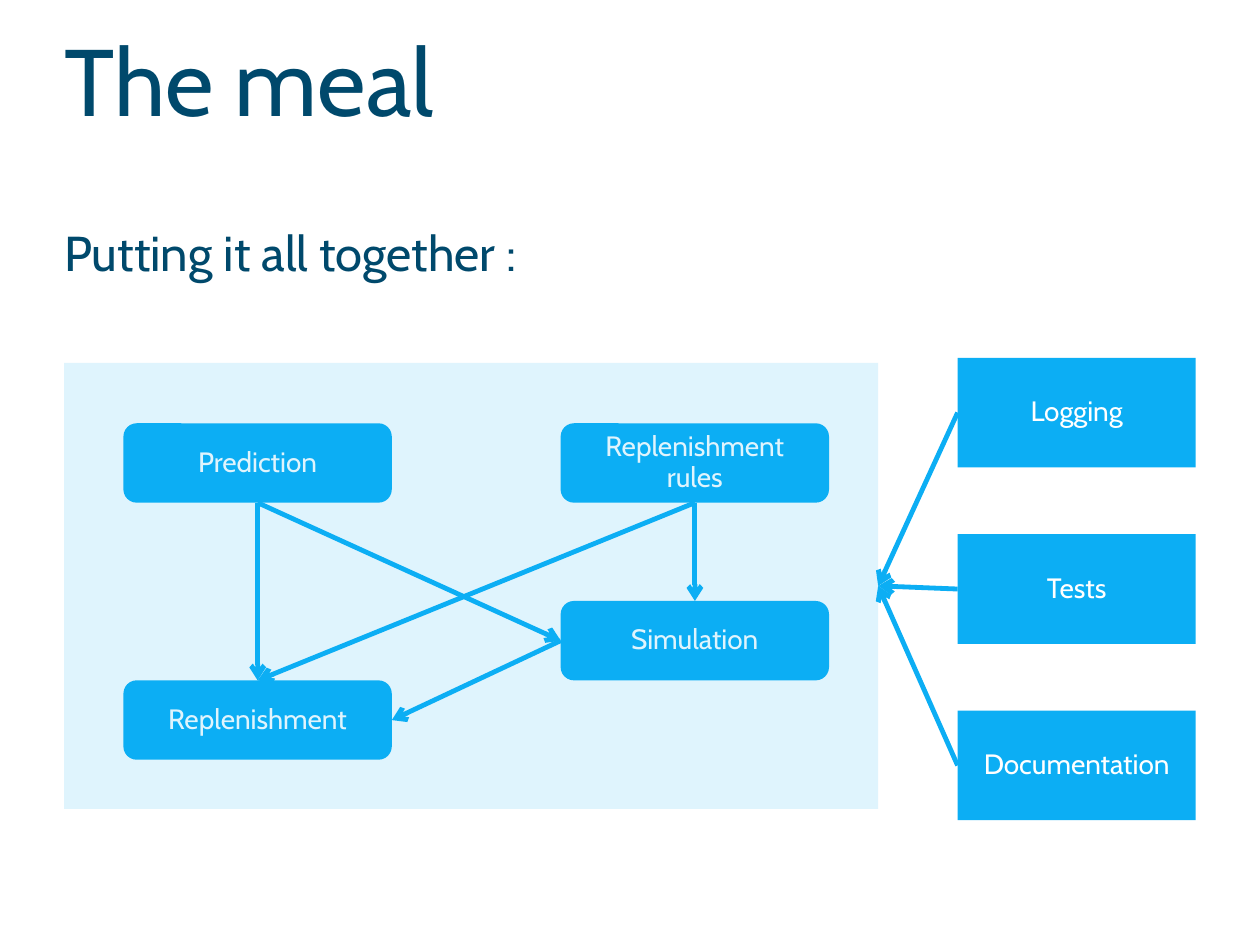
from lxml import etree
from pptx import Presentation
from pptx.dml.color import RGBColor
from pptx.enum.shapes import MSO_CONNECTOR, MSO_SHAPE
from pptx.enum.text import MSO_ANCHOR, MSO_AUTO_SIZE, PP_ALIGN
from pptx.oxml.ns import qn
from pptx.util import Inches, Pt

RECT, ROUNDED = MSO_SHAPE.RECTANGLE, MSO_SHAPE.ROUNDED_RECTANGLE
STRAIGHT = MSO_CONNECTOR.STRAIGHT
TOP, MIDDLE = MSO_ANCHOR.TOP, MSO_ANCHOR.MIDDLE
LEFT, CENTER = PP_ALIGN.LEFT, PP_ALIGN.CENTER
NO_FIT = MSO_AUTO_SIZE.NONE
SITE_TOP, SITE_LEFT, SITE_BOTTOM, SITE_RIGHT = range(4)

THEME = {
    "font": "Cabin",
    "navy": RGBColor.from_string("00496C"),
    "blue": RGBColor.from_string("0CAEF4"),
    "white": RGBColor.from_string("FFFFFF"),
    "title": Pt(54),
    "body": Pt(28),
    "label": Pt(16),
    "line": Pt(2.75),
    "panel_alpha": "13000",
}
SPACED = {"space_before": Pt(2), "space_after": Pt(4)}
HEADING = {"line_spacing": 0.8, "alignment": LEFT}
LABEL = {"line_spacing": 0.9, "alignment": CENTER, **SPACED}


def write(tf, text, size, color, anchor, margins, paragraph):
    frame = {"word_wrap": True, "auto_size": NO_FIT, "vertical_anchor": anchor}
    sides = ("margin_left", "margin_top", "margin_right", "margin_bottom")
    frame.update(zip(sides, map(Inches, margins)))
    p = tf.paragraphs[0]
    r = p.add_run()
    r.text = text
    font = {"name": THEME["font"], "size": THEME[size]}
    for target, values in ((tf, frame), (p, paragraph), (r.font, font)):
        for name, value in values.items():
            setattr(target, name, value)
    r.font.color.rgb = THEME[color]


def add_block(kind, left, top, width, height):
    sp = slide.shapes.add_shape(kind, *map(Inches, (left, top, width, height)))
    sp.shadow.inherit = False
    sp.fill.solid()
    sp.fill.fore_color.rgb = THEME["blue"]
    sp.line.fill.background()
    return sp


prs = Presentation()
prs.slide_width, prs.slide_height = Inches(10), Inches(7.5)
slide = prs.slides.add_slide(prs.slide_layouts[5])

title = slide.shapes.title
title.left, title.top, title.width, title.height = map(Inches, (0.51, 0, 8.98, 1.85))
write(title.text_frame, "The meal", "title", "navy", TOP, (0, 0.35, 0, 0), HEADING)

body = slide.shapes.add_textbox(*map(Inches, (0.51, 1.86, 8.98, 0.8)))
write(body.text_frame, "Putting it all together :", "body", "navy", TOP,
      (0, 0, 0, 0), {**HEADING, **SPACED})

steps = [
    ("Prediction", 0.98, 3.36),
    ("Simulation", 4.45, 4.77),
    ("Replenishment", 0.98, 5.4),
    ("Replenishment rules", 4.45, 3.36),
]
supports = ["Logging", "Tests", "Documentation"]
blocks = [(text, ROUNDED, left, top, 2.13, 0.63) for text, left, top in steps]
blocks += [(text, RECT, 7.6, 2.84 + 1.4 * i, 1.89, 0.87) for i, text in enumerate(supports)]

nodes = {}
for text, *geometry in blocks:
    nodes[text] = add_block(*geometry)
    write(nodes[text].text_frame, text, "label", "white", MIDDLE, (0.08,) * 4, LABEL)

panel = nodes["Panel"] = add_block(RECT, 0.51, 2.88, 6.46, 3.54)
color = panel.fill._xPr.find(qn("a:solidFill"))[0]
etree.SubElement(color, qn("a:alpha"), val=THEME["panel_alpha"])

arrows = [
    ("Prediction", SITE_BOTTOM, "Replenishment", SITE_TOP),
    ("Prediction", SITE_BOTTOM, "Simulation", SITE_LEFT),
    ("Replenishment rules", SITE_BOTTOM, "Simulation", SITE_TOP),
    ("Simulation", SITE_LEFT, "Replenishment", SITE_RIGHT),
    ("Replenishment rules", SITE_BOTTOM, "Replenishment", SITE_TOP),
]
arrows += [(text, SITE_LEFT, "Panel", SITE_RIGHT) for text in supports]
for source, source_site, target, target_site in arrows:
    arrow = slide.shapes.add_connector(STRAIGHT, 0, 0, 0, 0)
    arrow.begin_connect(nodes[source], source_site)
    arrow.end_connect(nodes[target], target_site)
    arrow.line.color.rgb = THEME["blue"]
    arrow.line.width = THEME["line"]
    etree.SubElement(arrow.line._get_or_add_ln(), qn("a:tailEnd"), type="arrow")
    etree.SubElement(arrow._element.spPr, qn("a:effectLst"))

prs.save("out.pptx")
